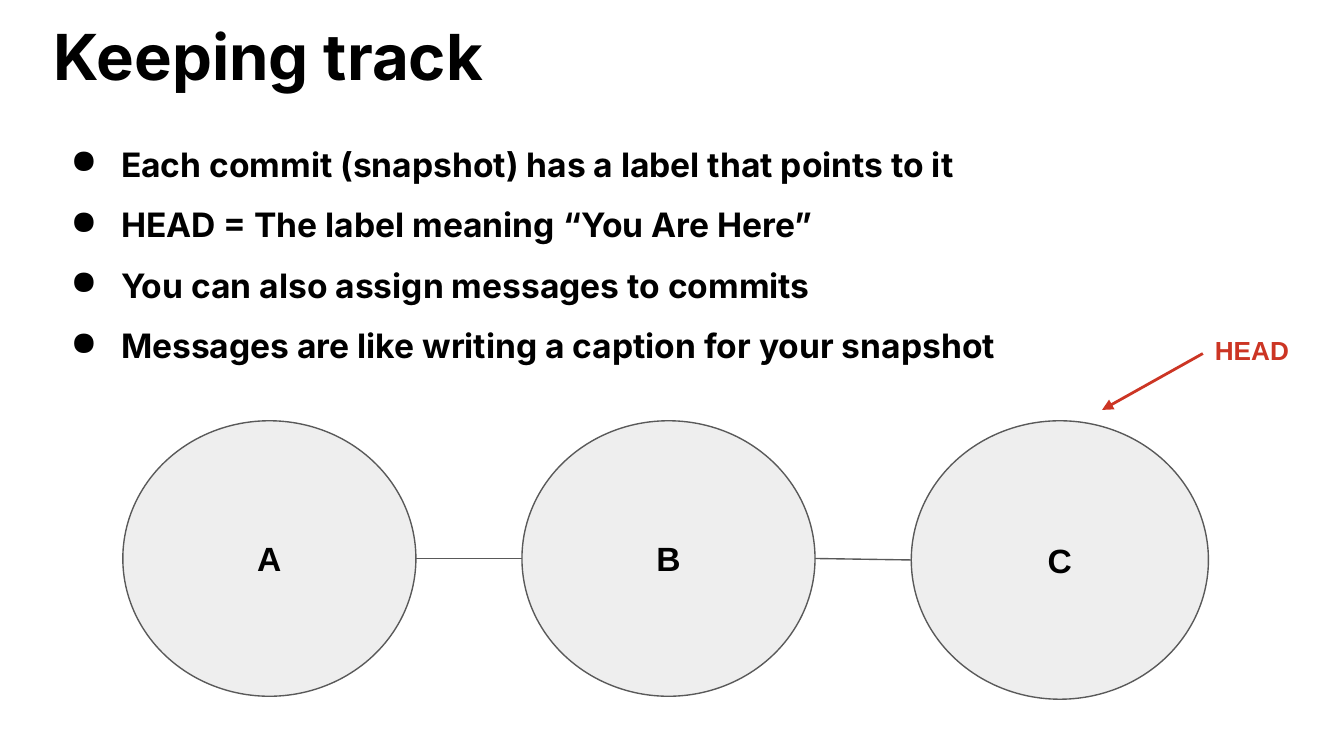
"""Build a slide on commits, labels and HEAD."""
from lxml import etree
from pptx import Presentation
from pptx.dml.color import RGBColor
from pptx.enum.shapes import MSO_CONNECTOR as Connector, MSO_SHAPE as Shape
from pptx.enum.text import MSO_ANCHOR as Anchor, PP_ALIGN as Align
from pptx.oxml.ns import qn
from pptx.util import Pt

BLACK, GREY, LIGHT, RED = "000000", "595959", "EEEEEE", "CC3524"
TITLE = "Keeping track"
BULLETS = [
    "Each commit (snapshot) has a label that points to it",
    "HEAD = The label meaning “You Are Here”",
    "You can also assign messages to commits",
    "Messages are like writing a caption for your snapshot",
]
COMMIT_TOP = 225.4
COMMITS = [("A", 65.8, 157, 147.6), ("B", 279.6, 157, 147.6), ("C", 488.2, 159.2, 149.2)]


def color(value):
    return RGBColor.from_string(value)


def add_run(paragraph, text, size, font, value=BLACK):
    run = paragraph.add_run()
    run.text = text
    run.font.size, run.font.name, run.font.bold = Pt(size), font, True
    run.font.color.rgb = color(value)


def set_insets(frame, inset):
    frame.word_wrap = True
    frame.margin_left = frame.margin_right = Pt(inset)
    frame.margin_top = frame.margin_bottom = Pt(inset)


def add_text(slide, box, inset):
    frame = slide.shapes.add_textbox(*map(Pt, box)).text_frame
    set_insets(frame, inset)
    return frame


def add_bullet(paragraph):
    properties = paragraph._p.get_or_add_pPr()
    properties.set("marL", str(Pt(36)))
    properties.set("indent", str(-Pt(27)))
    bullet_color = etree.SubElement(properties, qn("a:buClr"))
    etree.SubElement(bullet_color, qn("a:srgbClr"), val=BLACK)
    etree.SubElement(properties, qn("a:buChar"), char="●")


def add_commit(slide, label, left, width, height):
    shape = slide.shapes.add_shape(Shape.OVAL, Pt(left), Pt(COMMIT_TOP), Pt(width), Pt(height))
    shape.shadow.inherit = False
    shape.fill.solid()
    shape.fill.fore_color.rgb = color(LIGHT)
    shape.line.color.rgb, shape.line.width = color(GREY), Pt(0.75)
    set_insets(shape.text_frame, 7.2)
    shape.text_frame.vertical_anchor = Anchor.MIDDLE
    paragraph = shape.text_frame.paragraphs[0]
    paragraph.alignment = Align.CENTER
    add_run(paragraph, label, 18, "Arial")


def add_line(slide, start, end, value, width, arrow=False):
    connector = slide.shapes.add_connector(Connector.STRAIGHT, *map(Pt, start + end))
    connector.line.color.rgb, connector.line.width = color(value), Pt(width)
    if arrow:
        etree.SubElement(connector.line._get_or_add_ln(), qn("a:tailEnd"), type="triangle")
    etree.SubElement(connector._element.spPr, qn("a:effectLst"))


presentation = Presentation()
presentation.slide_width, presentation.slide_height = Pt(720), Pt(405)
slide = presentation.slides.add_slide(presentation.slide_layouts[6])

title = add_text(slide, (27.4, 7.9, 617.8, 46), 1.44)
add_run(title.paragraphs[0], TITLE, 34, "Inter")

body = add_text(slide, (27.4, 64.8, 674, 248.4), 1.44)
for index, text in enumerate(BULLETS):
    paragraph = body.add_paragraph() if index else body.paragraphs[0]
    paragraph.line_spacing = 1.5
    add_bullet(paragraph)
    add_run(paragraph, text, 18, "Inter")

for commit in COMMITS:
    add_commit(slide, *commit)
for (_, left, width, height), (_, next_left, _, next_height) in zip(COMMITS, COMMITS[1:]):
    start = (left + width, COMMIT_TOP + height / 2)
    end = (next_left, COMMIT_TOP + next_height / 2)
    add_line(slide, start, end, GREY, 0.75)

add_line(slide, (644.4, 189.4), (590.4, 219.6), RED, 1.5, arrow=True)
head = add_text(slide, (643.7, 172.1, 76, 33.1), 7.2)
add_run(head.paragraphs[0], "HEAD", 14, "Arial", RED)

presentation.save("out.pptx")
